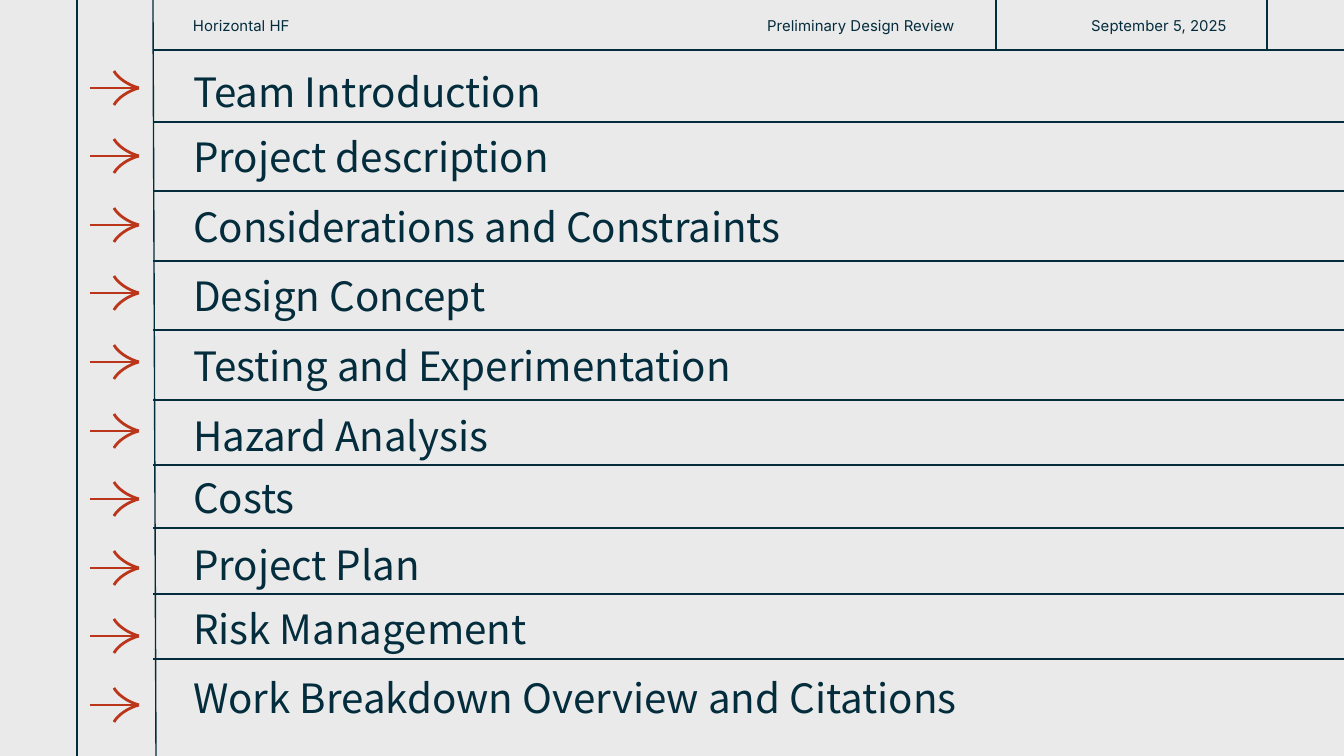
from pptx import Presentation
from pptx import util as u
from pptx.dml.color import RGBColor
from pptx.enum import shapes, text
from pptx.oxml.ns import qn
from lxml import etree

PX = 9144000 / 1344  # EMU per px
NAVY, RUST, GREY = "032C3C", "BA351A", "EAEAEA"


def px(n):
    return u.Emu(round(n * PX))


def write(box, words, size, font, left=40, right=13, align="LEFT", spacing=1.0):
    frame = box.text_frame
    frame.word_wrap = True
    frame.auto_size = text.MSO_AUTO_SIZE.NONE
    frame.vertical_anchor = text.MSO_ANCHOR.MIDDLE
    frame.margin_left, frame.margin_right = px(left), px(right)
    frame.margin_top = frame.margin_bottom = px(13)
    paragraph = frame.paragraphs[0]
    paragraph.alignment = getattr(text.PP_ALIGN, align)
    paragraph.line_spacing = spacing
    run = paragraph.add_run()
    run.text = words
    run.font.size, run.font.name = u.Pt(size), font
    run.font.color.rgb = RGBColor.from_string(NAVY)


deck = Presentation()
deck.slide_width, deck.slide_height = px(1344), px(756)
slide = deck.slides.add_slide(deck.slide_layouts[5])
slide.background.fill.solid()
slide.background.fill.fore_color.rgb = RGBColor.from_string(GREY)

# Frame: left column, header dividers and row rules
rule_ys = [50, 122, 191, 261, 330, 400, 465, 528, 594, 659]
frame_lines = [(77, 0, 77, 756), (153, 0, 156, 756), (996, 0, 996, 50), (1267, 0, 1267, 50)]
frame_lines += [(153, y, 1344, y) for y in rule_ys]
for ends in frame_lines:
    rule = slide.shapes.add_connector(shapes.MSO_CONNECTOR.STRAIGHT, *map(px, ends))
    rule.line.color.rgb = RGBColor.from_string(NAVY)
    rule.line.width = u.Pt(0.75)
    etree.SubElement(rule._element.spPr, qn("a:effectLst"))

# Header
header = [
    ("Horizontal HF", 153, 430, {}),
    ("Preliminary Design Review", 601, 394, {"left": 13, "right": 40, "align": "RIGHT"}),
    ("September 5, 2025", 996, 271, {"left": 13, "right": 40, "align": "RIGHT"}),
]
for words, x, width, layout in header:
    label = slide.shapes.add_textbox(px(x), 0, px(width), px(49))
    write(label, words, 8, "Inter", spacing=1.15, **layout)

# Agenda topics: the first is the slide title
agenda = [
    ("Team Introduction", 62),
    ("Project description", 121),
    ("Considerations and Constraints", 191),
    ("Design Concept", 260),
    ("Testing and Experimentation", 330),
    ("Hazard Analysis", 400),
    ("Costs", 462),
    ("Project Plan", 529),
    ("Risk Management", 593),
    ("Work Breakdown Overview and Citations", 662),
]
for row, (topic, top) in enumerate(agenda):
    place = px(153), px(top), px(1114), px(70 if row else 59)
    if row == 0:
        entry = slide.shapes.title
        entry.left, entry.top, entry.width, entry.height = place
    else:
        entry = slide.shapes.add_textbox(*place)
    write(entry, topic, 21.6, "Noto Sans CJK KR")

# Arrows: a shaft and two barbs, each barb one Bezier curve ending at the tip
barb_width, barb_height = 25, 17
for row in range(len(agenda)):
    tip_x, tip_y = 139, round(87.6 + 68.6 * row)
    arrow = slide.shapes.add_group_shape()
    shaft = arrow.shapes.add_connector(
        shapes.MSO_CONNECTOR.STRAIGHT, px(tip_x), px(tip_y), px(90), px(tip_y))
    etree.SubElement(shaft._element.spPr, qn("a:effectLst"))
    strokes = [shaft]
    for side in (1, -1):
        builder = arrow.shapes.build_freeform(
            px(tip_x - barb_width), px(tip_y + side * barb_height), scale=1.0)
        builder.add_line_segments([(px(tip_x), px(tip_y))], close=False)
        barb = builder.convert_to_shape()
        barb.fill.background()
        barb.shadow.inherit = False
        # Bend the straight segment: two control points go before its end
        segment = barb._element.find(".//" + qn("a:lnTo"))
        segment.tag = qn("a:cubicBezTo")
        for place, (x, y) in enumerate([(4, 7), (14, 14)]):
            control = etree.Element(qn("a:pt"))
            control.set("x", str(px(x)))
            control.set("y", str(px(barb_height - y if side == 1 else y)))
            segment.insert(place, control)
        strokes.append(barb)
    for stroke in strokes:
        stroke.line.color.rgb = RGBColor.from_string(RUST)
        stroke.line.width = u.Pt(1.5)

deck.save("out.pptx")
